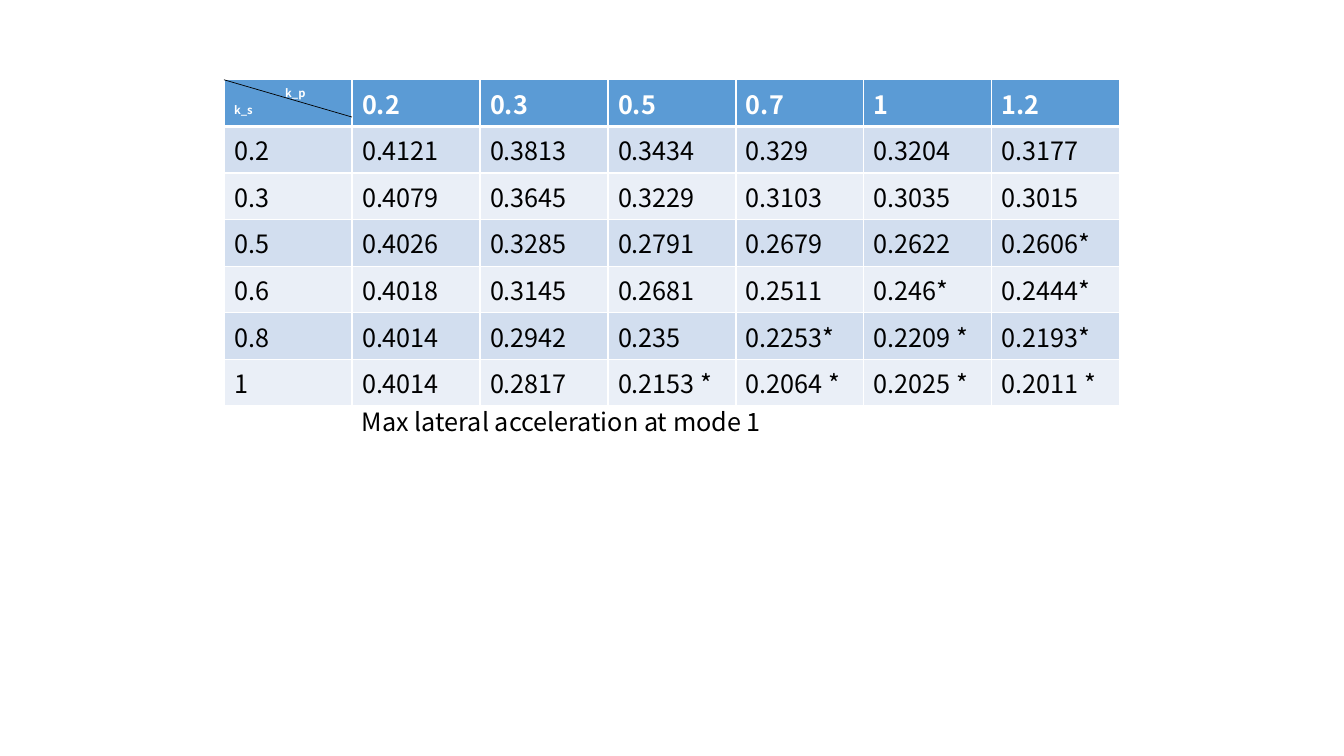
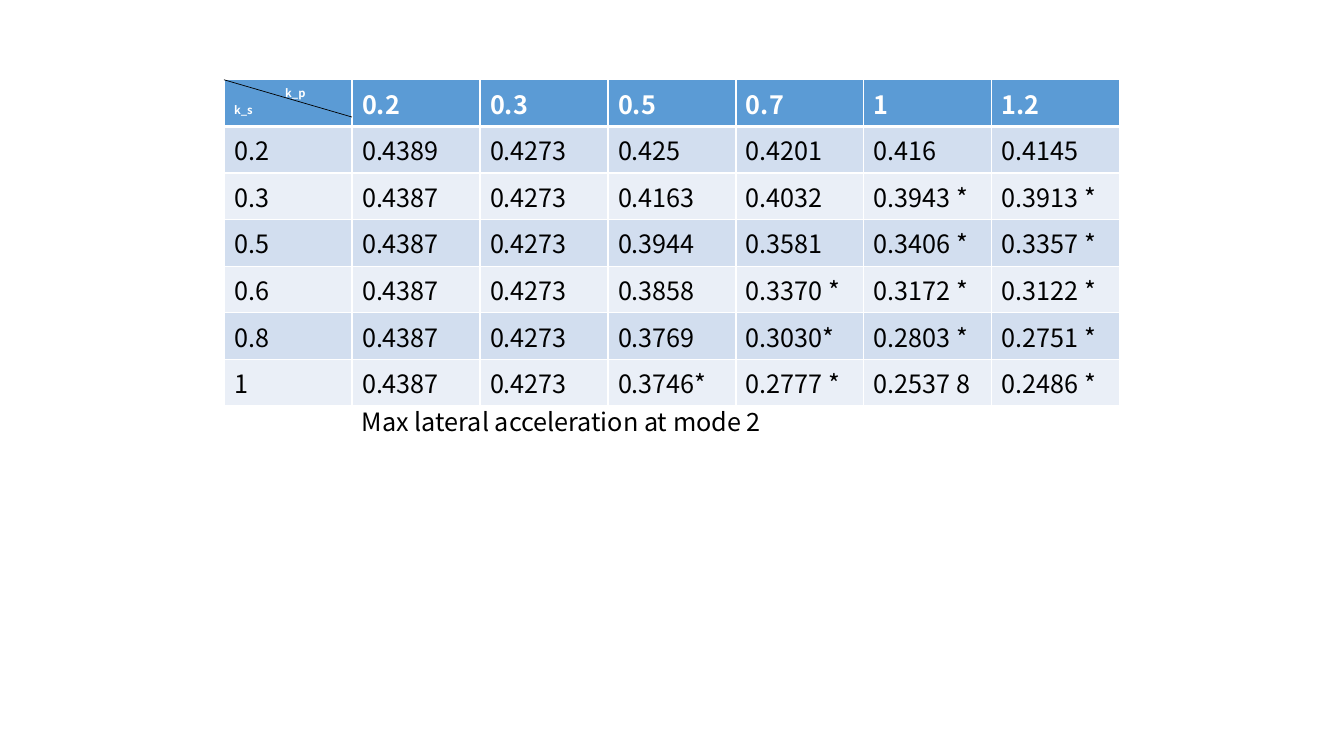
from dataclasses import dataclass

from lxml import etree
from pptx import Presentation
from pptx.dml.color import RGBColor
from pptx.enum.shapes import MSO_CONNECTOR
from pptx.enum.text import MSO_AUTO_SIZE
from pptx.oxml.ns import qn
from pptx.util import Pt

STRAIGHT = MSO_CONNECTOR.STRAIGHT
GROW_SHAPE = MSO_AUTO_SIZE.SHAPE_TO_FIT_TEXT

COLORS = {
    "header": "5B9BD5",
    "odd_row": "D2DEEF",
    "even_row": "EAEFF7",
    "white": "FFFFFF",
    "black": "000000",
}
FONT = "Noto Sans CJK KR"
BODY_SIZE = 18
CORNER_SIZE = 8
CORNER_INDENT = 36.5

BLANK_LAYOUT = 6
SLIDE_WIDTH, SLIDE_HEIGHT = 960, 540
TABLE_LEFT, TABLE_TOP = 160, 57
TABLE_WIDTH = 640
ROW_HEIGHT = 29.2
DIAGONAL_HEIGHT = 26.6
CAPTION_TOP, CAPTION_WIDTH, CAPTION_HEIGHT = 286.5, 400, 29
THIN_BORDER, THICK_BORDER = 1, 3

K_P_VALUES = ("0.2", "0.3", "0.5", "0.7", "1", "1.2")
K_S_VALUES = ("0.2", "0.3", "0.5", "0.6", "0.8", "1")
COLUMN_WIDTH = TABLE_WIDTH / (len(K_P_VALUES) + 1)


@dataclass(frozen=True)
class ModeResult:
    caption: str
    accelerations: tuple[tuple[str, ...], ...]


MODE_RESULTS = (
    ModeResult(
        "Max lateral acceleration at mode 1",
        (
            ("0.4121", "0.3813", "0.3434", "0.329", "0.3204", "0.3177"),
            ("0.4079", "0.3645", "0.3229", "0.3103", "0.3035", "0.3015"),
            ("0.4026", "0.3285", "0.2791", "0.2679", "0.2622", "0.2606*"),
            ("0.4018", "0.3145", "0.2681", "0.2511", "0.246*", "0.2444*"),
            ("0.4014", "0.2942", "0.235", "0.2253*", "0.2209 *", "0.2193*"),
            ("0.4014", "0.2817", "0.2153 *", "0.2064 *", "0.2025 *", "0.2011 *"),
        ),
    ),
    ModeResult(
        "Max lateral acceleration at mode 2",
        (
            ("0.4389", "0.4273", "0.425", "0.4201", "0.416", "0.4145"),
            ("0.4387", "0.4273", "0.4163", "0.4032", "0.3943 *", "0.3913 *"),
            ("0.4387", "0.4273", "0.3944", "0.3581", "0.3406 *", "0.3357 *"),
            ("0.4387", "0.4273", "0.3858", "0.3370 *", "0.3172 *", "0.3122 *"),
            ("0.4387", "0.4273", "0.3769", "0.3030*", "0.2803 *", "0.2751 *"),
            ("0.4387", "0.4273", "0.3746*", "0.2777 *", "0.2537 8", "0.2486 *"),
        ),
    ),
)


def rgb(name: str) -> RGBColor:
    return RGBColor.from_string(COLORS[name])


def add_run(paragraph, text: str, size: float, color: str, bold: bool = False) -> None:
    run = paragraph.add_run()
    run.text = text
    run.font.name = FONT
    run.font.size = Pt(size)
    run.font.bold = bold
    run.font.color.rgb = rgb(color)


def set_borders(cell, top: float, bottom: float) -> None:
    properties = cell._tc.get_or_add_tcPr()
    widths = {"lnL": THIN_BORDER, "lnR": THIN_BORDER, "lnT": top, "lnB": bottom}
    for position, (tag, width) in enumerate(widths.items()):
        border = etree.Element(qn(f"a:{tag}"), w=str(Pt(width)))
        fill = etree.SubElement(border, qn("a:solidFill"))
        etree.SubElement(fill, qn("a:srgbClr"), val=COLORS["white"])
        properties.insert(position, border)


def fill_corner(cell) -> None:
    column_label = cell.text_frame.paragraphs[0]
    column_label._p.get_or_add_pPr().set("marL", str(Pt(CORNER_INDENT)))
    add_run(column_label, "k_p", CORNER_SIZE, "white", bold=True)
    row_label = cell.text_frame.add_paragraph()
    add_run(row_label, "k_s", CORNER_SIZE, "white", bold=True)


def add_result_table(slide, result: ModeResult) -> None:
    rows = [("", *K_P_VALUES)]
    rows += [(k_s, *values) for k_s, values in zip(K_S_VALUES, result.accelerations)]
    table = slide.shapes.add_table(
        len(rows), len(rows[0]), Pt(TABLE_LEFT), Pt(TABLE_TOP),
        Pt(TABLE_WIDTH), Pt(ROW_HEIGHT * len(rows)),
    ).table
    for row_index, row in enumerate(rows):
        is_header = row_index == 0
        row_fill = "header" if is_header else ("even_row", "odd_row")[row_index % 2]
        for column_index, text in enumerate(row):
            cell = table.cell(row_index, column_index)
            cell.fill.solid()
            cell.fill.fore_color.rgb = rgb(row_fill)
            set_borders(
                cell,
                THICK_BORDER if row_index == 1 else THIN_BORDER,
                THICK_BORDER if is_header else THIN_BORDER,
            )
            if text:
                color = "white" if is_header else "black"
                add_run(cell.text_frame.paragraphs[0], text, BODY_SIZE, color, is_header)
    fill_corner(table.cell(0, 0))


def add_corner_diagonal(slide) -> None:
    diagonal = slide.shapes.add_connector(
        STRAIGHT, Pt(TABLE_LEFT), Pt(TABLE_TOP),
        Pt(TABLE_LEFT + COLUMN_WIDTH), Pt(TABLE_TOP + DIAGONAL_HEIGHT),
    )
    diagonal.line.color.rgb = rgb("black")
    diagonal.line.width = Pt(0.5)
    etree.SubElement(diagonal._element.spPr, qn("a:effectLst"))


def add_caption(slide, text: str) -> None:
    caption = slide.shapes.add_textbox(
        Pt(TABLE_LEFT + COLUMN_WIDTH), Pt(CAPTION_TOP),
        Pt(CAPTION_WIDTH), Pt(CAPTION_HEIGHT),
    )
    frame = caption.text_frame
    frame.word_wrap = True
    frame.auto_size = GROW_SHAPE
    add_run(frame.paragraphs[0], text, BODY_SIZE, "black")


def main() -> None:
    presentation = Presentation()
    presentation.slide_width = Pt(SLIDE_WIDTH)
    presentation.slide_height = Pt(SLIDE_HEIGHT)
    for result in MODE_RESULTS:
        slide = presentation.slides.add_slide(presentation.slide_layouts[BLANK_LAYOUT])
        add_result_table(slide, result)
        add_corner_diagonal(slide)
        add_caption(slide, result.caption)
    presentation.save("out.pptx")


if __name__ == "__main__":
    main()
